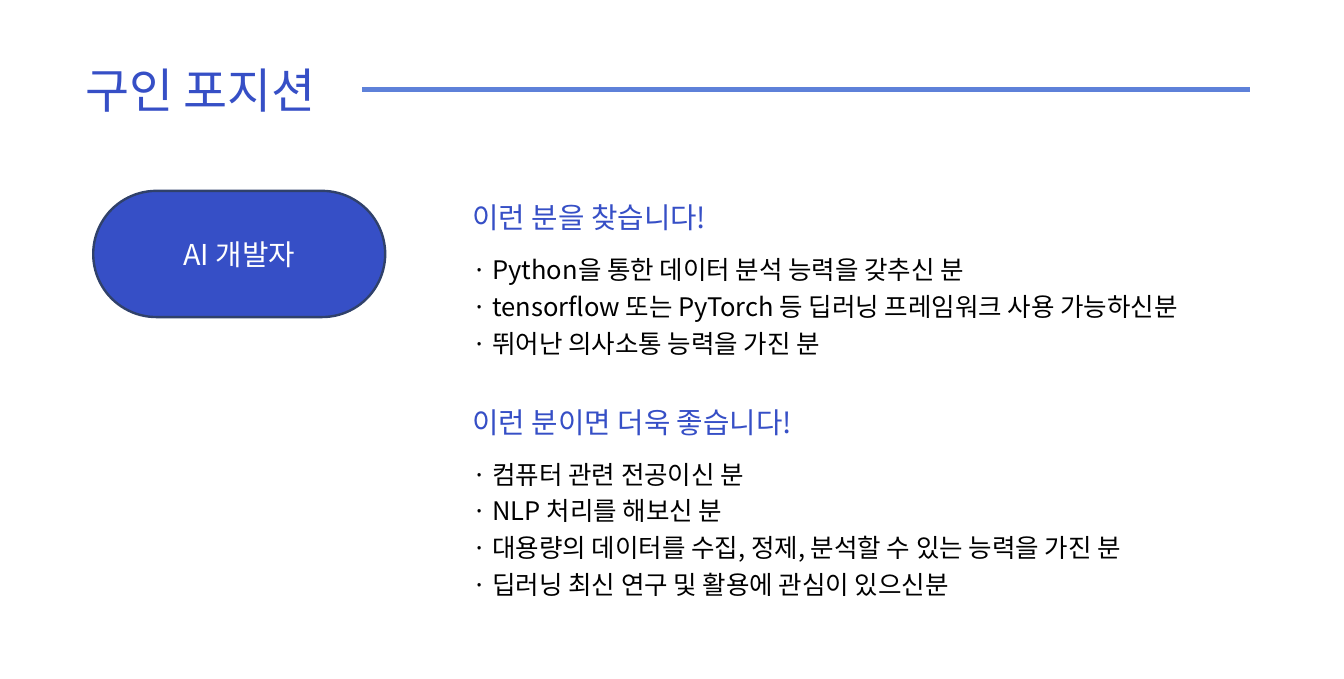
from lxml import etree
from pptx import Presentation
from pptx.dml.color import RGBColor
from pptx.enum.shapes import MSO_CONNECTOR, MSO_SHAPE
from pptx.enum.text import MSO_ANCHOR, MSO_AUTO_SIZE, PP_ALIGN
from pptx.oxml.ns import qn
from pptx.util import Cm, Pt

TITLE = "구인 포지션"
ROLE = "AI 개발자"
GROUPS = [
    ("이런 분을 찾습니다!", [
        "· Python을 통한 데이터 분석 능력을 갖추신 분",
        "· tensorflow 또는 PyTorch 등 딥러닝 프레임워크 사용 가능하신분",
        "· 뛰어난 의사소통 능력을 가진 분",
    ]),
    ("이런 분이면 더욱 좋습니다!", [
        "· 컴퓨터 관련 전공이신 분",
        "· NLP 처리를 해보신 분",
        "· 대용량의 데이터를 수집, 정제, 분석할 수 있는 능력을 가진 분",
        "· 딥러닝 최신 연구 및 활용에 관심이 있으신분",
    ]),
]

FONT = "Noto Sans CJK KR"
BLUE = RGBColor(0x36, 0x4F, 0xC6)
SKY = RGBColor(0x5E, 0x81, 0xD9)
NAVY = RGBColor(0x30, 0x41, 0x6A)
BLACK = RGBColor(0, 0, 0)
WHITE = RGBColor(255, 255, 255)
PILL = MSO_SHAPE.ROUNDED_RECTANGLE
STRAIGHT = MSO_CONNECTOR.STRAIGHT
MIDDLE = MSO_ANCHOR.MIDDLE
CENTER = PP_ALIGN.CENTER
GROW = MSO_AUTO_SIZE.SHAPE_TO_FIT_TEXT

LEFT, RIGHT = 10.19, 27.61
TOP, STEP = 4.22, 4.52
HEAD_W, HEAD_H = 9.32, 1.09
DROP, ROW, PAD = 1.14, 0.81, 0.25


def add_run(para, text, size, color):
    run = para.add_run()
    run.text = text
    run.font.size = Pt(size)
    run.font.name = FONT
    run.font.color.rgb = color
    east = etree.SubElement(run.font._element, qn("a:ea"))
    east.set("typeface", FONT)


def add_text(slide, box, lines, size, color, space):
    frame = slide.shapes.add_textbox(*map(Cm, box)).text_frame
    frame.word_wrap = True
    frame.auto_size = GROW
    for i, line in enumerate(lines):
        para = frame.add_paragraph() if i else frame.paragraphs[0]
        para.line_spacing = space
        add_run(para, line, size, color)


def add_rule(slide):
    rule = slide.shapes.add_connector(STRAIGHT, Cm(8), Cm(1.98), Cm(RIGHT), Cm(1.98))
    rule.line.color.rgb = SKY
    rule.line.width = Pt(3)
    etree.SubElement(rule._element.spPr, qn("a:effectLst"))


def add_role(slide):
    pill = slide.shapes.add_shape(PILL, Cm(2.06), Cm(TOP), Cm(6.45), Cm(2.79))
    pill.adjustments[0] = 0.5
    pill.shadow.inherit = False
    pill.fill.solid()
    pill.fill.fore_color.rgb = BLUE
    pill.line.color.rgb = NAVY
    pill.line.width = Pt(1.5)
    frame = pill.text_frame
    frame.vertical_anchor = MIDDLE
    para = frame.paragraphs[0]
    para.alignment = CENTER
    add_run(para, ROLE, 18, WHITE)


def main():
    deck = Presentation()
    deck.slide_width, deck.slide_height = Cm(29.69), Cm(15.01)
    slide = deck.slides.add_slide(deck.slide_layouts[6])
    add_text(slide, (1.63, 1.22, 7.34, 1.52), [TITLE], 30, BLUE, 1.0)
    add_rule(slide)
    add_role(slide)
    for i, (head, items) in enumerate(GROUPS):
        top = TOP + i * STEP
        add_text(slide, (LEFT, top, HEAD_W, HEAD_H), [head], 18, BLUE, 1.1)
        box = (LEFT, top + DROP, RIGHT - LEFT, len(items) * ROW + PAD)
        add_text(slide, box, items, 16, BLACK, 1.2)
    deck.save("out.pptx")


if __name__ == "__main__":
    main()
